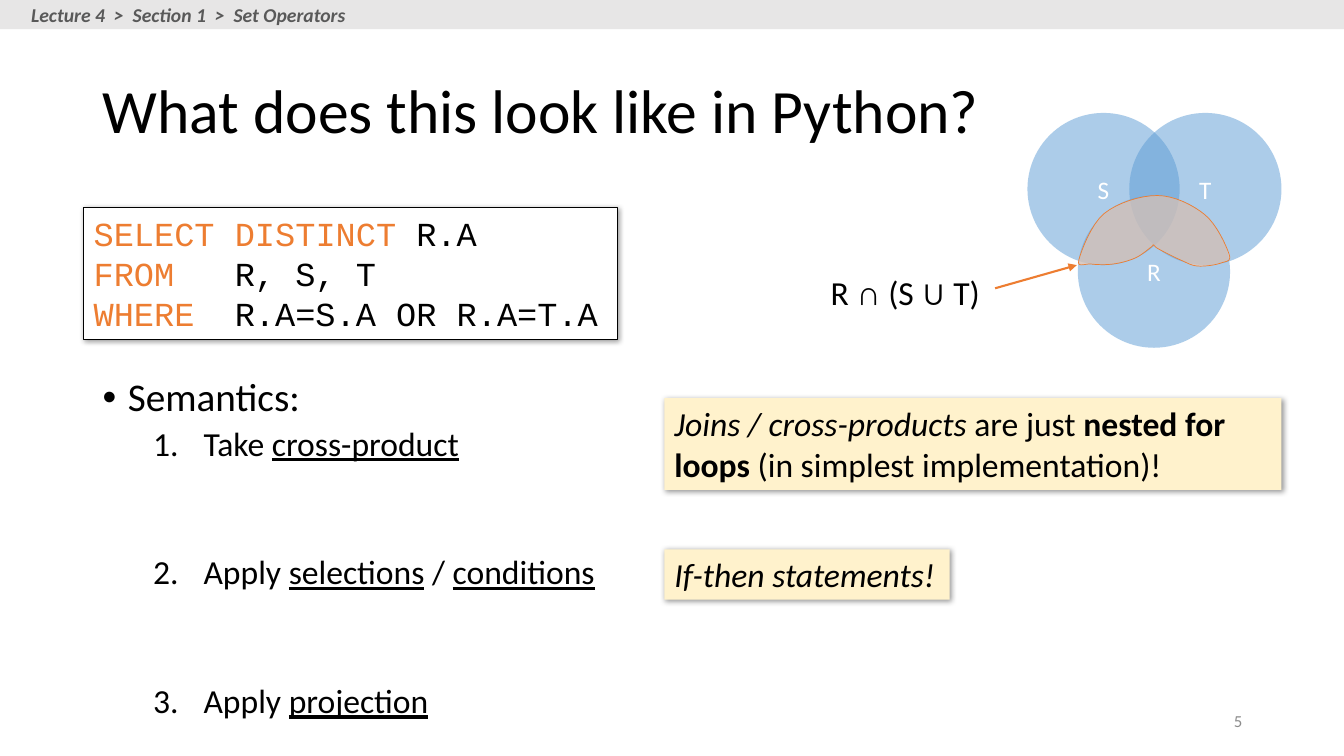
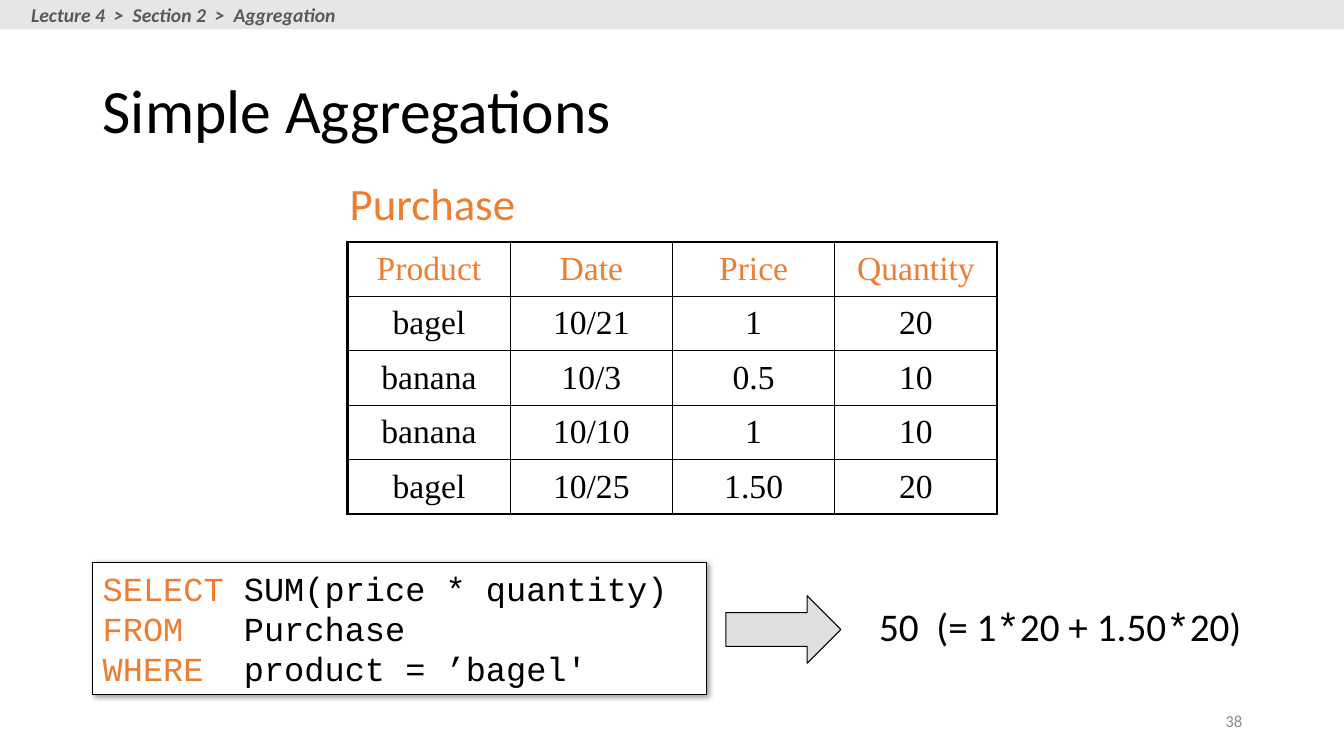
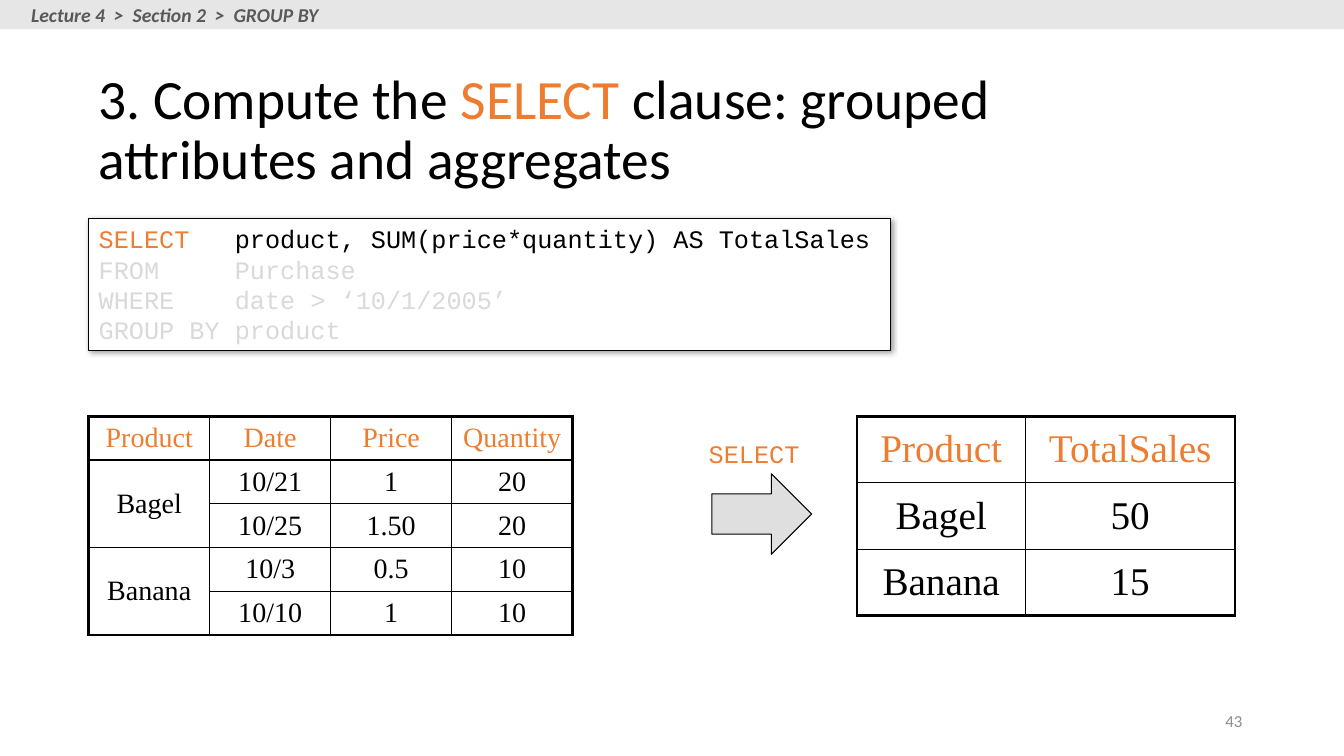
from dataclasses import dataclass, replace

from lxml.etree import SubElement
from pptx import Presentation
from pptx.dml.color import RGBColor
from pptx.enum.shapes import MSO_CONNECTOR, MSO_SHAPE
from pptx.enum.text import MSO_ANCHOR, PP_ALIGN
from pptx.oxml.ns import qn
from pptx.util import Inches, Pt

BLACK = RGBColor(0x00, 0x00, 0x00)
WHITE = RGBColor(0xFF, 0xFF, 0xFF)
ORANGE = RGBColor(0xED, 0x7D, 0x31)
PEACH = RGBColor(0xF8, 0xCB, 0xAD)
CREAM = RGBColor(0xFF, 0xF2, 0xCC)
BLUE = RGBColor(0x5B, 0x9B, 0xD5)
SILVER = RGBColor(0xC0, 0xC0, 0xC0)
BAND_GRAY = RGBColor(0xE7, 0xE6, 0xE6)
CRUMB_GRAY = RGBColor(0x59, 0x59, 0x59)
NUMBER_GRAY = RGBColor(0x8C, 0x8C, 0x8C)
FADED = RGBColor(0xD9, 0xD9, 0xD9)


@dataclass(frozen=True)
class Style:
    size: float
    font: str = "Calibri"
    color: RGBColor = BLACK
    bold: bool = False
    italic: bool = False
    underline: bool = False


TITLE = Style(44)
BODY = Style(24)
BODY_ITALIC = replace(BODY, italic=True)
BODY_BOLD = replace(BODY, bold=True)
BODY_UNDERLINE = replace(BODY, underline=True)
CODE = Style(24, "Courier New")
KEYWORD = replace(CODE, color=ORANGE)
SMALL_CODE = replace(CODE, size=18)
SMALL_KEYWORD = replace(KEYWORD, size=18)
FADED_CODE = replace(SMALL_CODE, color=FADED)
CRUMB = Style(14, color=CRUMB_GRAY, bold=True, italic=True)


def add_runs(para, runs):
    for text, style in runs:
        span = para.add_run()
        span.text = text
        font = span.font
        font.name = style.font
        font.size = Pt(style.size)
        font.color.rgb = style.color
        font.bold = style.bold
        font.italic = style.italic
        font.underline = style.underline


def fill_frame(frame, lines, align=PP_ALIGN.LEFT, anchor=MSO_ANCHOR.TOP, spacing=1.0):
    frame.word_wrap = True
    frame.vertical_anchor = anchor
    for index, runs in enumerate(lines):
        para = frame.add_paragraph() if index else frame.paragraphs[0]
        para.alignment = align
        para.line_spacing = spacing
        add_runs(para, runs)


def add_text(page, left, top, width, height, lines, **layout):
    box = page.shapes.add_textbox(Inches(left), Inches(top), Inches(width), Inches(height))
    fill_frame(box.text_frame, lines, **layout)
    return box


def paint(shape, fill, line=None, weight=0.75, opacity=100):
    shape.shadow.inherit = False
    shape.fill.solid()
    shape.fill.fore_color.rgb = fill
    if opacity < 100:
        color = shape.element.spPr.find(qn("a:solidFill"))[0]
        SubElement(color, qn("a:alpha"), val=str(opacity * 1000))
    if line is None:
        shape.line.fill.background()
    else:
        shape.line.color.rgb = line
        shape.line.width = Pt(weight)


def add_shape(page, kind, left, top, width, height, fill, **look):
    shape = page.shapes.add_shape(
        kind, Inches(left), Inches(top), Inches(width), Inches(height)
    )
    paint(shape, fill, **look)
    return shape


def add_card(page, left, top, width, height, lines, fill=WHITE, line=None):
    card = add_shape(page, MSO_SHAPE.RECTANGLE, left, top, width, height, fill, line=line)
    effects = card.element.spPr.find(qn("a:effectLst"))
    shadow = SubElement(
        effects, qn("a:outerShdw"), blurRad=str(Pt(4)), dist=str(Pt(1)),
        dir="2700000", algn="tl", rotWithShape="0",
    )
    color = SubElement(shadow, qn("a:srgbClr"), val=str(BLACK))
    SubElement(color, qn("a:alpha"), val="40000")
    fill_frame(card.text_frame, lines)


def add_block_arrow(page, left, top, width, height):
    add_shape(page, MSO_SHAPE.RIGHT_ARROW, left, top, width, height, SILVER,
              line=BLACK, opacity=50)


def add_pointer(page, start, end):
    pointer = page.shapes.add_connector(
        MSO_CONNECTOR.STRAIGHT, *(Inches(value) for value in start + end)
    )
    pointer.line.color.rgb = ORANGE
    pointer.line.width = Pt(1.5)
    SubElement(pointer.line._get_or_add_ln(), qn("a:tailEnd"), type="triangle")
    SubElement(pointer.element.spPr, qn("a:effectLst"))


def smooth_outline(knots, steps=8):
    count = len(knots)
    points = []
    for index in range(count):
        neighbors = [knots[(index + shift) % count] for shift in (-1, 0, 1, 2)]
        for step in range(steps):
            t = step / steps
            points.append(tuple(
                Inches(b + t * (c - a) / 2
                       + t ** 2 * (2 * a - 5 * b + 4 * c - d) / 2
                       + t ** 3 * (3 * b - a - 3 * c + d) / 2)
                for a, b, c, d in zip(*neighbors)
            ))
    return points


def set_border(cell, side, weight):
    line = SubElement(cell._tc.get_or_add_tcPr(), qn("a:ln" + side), w=str(Pt(weight)))
    fill = SubElement(line, qn("a:solidFill"))
    SubElement(fill, qn("a:srgbClr"), val=str(BLACK))


def add_grid(page, left, top, widths, row_height, size, rows, merges=()):
    row_count, column_count = len(rows), len(widths)
    table = page.shapes.add_table(
        row_count, column_count, Inches(left), Inches(top),
        Inches(sum(widths)), Inches(row_height * row_count),
    ).table
    table.first_row = False
    table.horz_banding = False
    for column, width in zip(table.columns, widths):
        column.width = Inches(width)
    for row in table.rows:
        row.height = Inches(row_height)
    for first, last in merges:
        table.cell(first, 0).merge(table.cell(last, 0))
    for r, values in enumerate(rows):
        style = Style(size, "Times New Roman", BLACK if r else ORANGE)
        for c, value in enumerate(values):
            cell = table.cell(r, c)
            bottom = r + (cell.span_height if cell.is_merge_origin else 1)
            edges = {"L": c == 0, "R": c == column_count - 1,
                     "T": r == 0, "B": bottom == row_count}
            for side, outer in edges.items():
                set_border(cell, side, 2.25 if outer else 1)
            cell.fill.background()
            cell.vertical_anchor = MSO_ANCHOR.MIDDLE
            if value:
                para = cell.text_frame.paragraphs[0]
                para.alignment = PP_ALIGN.CENTER
                add_runs(para, [(value, style)])


def add_page(deck, number, section, topic, title, title_box=(0.92, 0.4, 11.5, 1.45)):
    page = deck.slides.add_slide(deck.slide_layouts[6])
    add_text(page, 9.42, 6.95, 3, 0.4, [[(str(number), Style(12, color=NUMBER_GRAY))]],
             align=PP_ALIGN.RIGHT, anchor=MSO_ANCHOR.MIDDLE)
    add_text(page, *title_box, [title], anchor=MSO_ANCHOR.MIDDLE, spacing=0.9)
    add_shape(page, MSO_SHAPE.RECTANGLE, 0, 0, 13.33, 0.29, BAND_GRAY)
    crumbs = "  >  ".join(["Lecture 4", f"Section {section}", topic])
    add_text(page, 0.21, -0.02, 3.4, 0.34, [[(crumbs, CRUMB)]])
    return page


def add_semantics(page):
    lines = [
        [("Semantics:", Style(28))],
        [("Take ", BODY), ("cross-product", BODY_UNDERLINE)],
        [("Apply ", BODY), ("selections", BODY_UNDERLINE), (" / ", BODY),
         ("conditions", BODY_UNDERLINE)],
        [("Apply ", BODY), ("projection", BODY_UNDERLINE)],
    ]
    box = add_text(page, 0.92, 3.7, 5.91, 3.49, lines, spacing=0.9)
    gaps = [10, 5, 66, 66]
    for index, (para, gap) in enumerate(zip(box.text_frame.paragraphs, gaps)):
        para.space_before = Pt(gap)
        margin, hang = (1, 0.5) if index else (0.25, 0.25)
        properties = para._p.get_or_add_pPr()
        properties.set("marL", str(Inches(margin)))
        properties.set("indent", str(-Inches(hang)))
        SubElement(properties, qn("a:buFont"), typeface="Calibri" if index else "Arial")
        if index:
            SubElement(properties, qn("a:buAutoNum"), type="arabicPeriod")
        else:
            SubElement(properties, qn("a:buChar"), char="•")


def add_venn(page):
    symbol = replace(BODY, font="Arial")
    formula = [("R ", BODY), ("∩", symbol), (" (S ", BODY), ("∪", symbol), (" T)", BODY)]
    add_text(page, 8.14, 2.65, 1.72, 0.5, [formula])
    for name, left, top in (("S", 10.19, 1.12), ("T", 11.2, 1.12), ("R", 10.69, 1.94)):
        circle = add_shape(page, MSO_SHAPE.OVAL, left, top, 1.51, 1.51, BLUE, opacity=50)
        fill_frame(circle.text_frame, [[(name, Style(18, color=WHITE))]],
                   align=PP_ALIGN.CENTER, anchor=MSO_ANCHOR.MIDDLE)
    add_pointer(page, (9.87, 2.86), (10.68, 2.63))
    overlap_knots = [
        (10.7, 2.58), (10.95, 2.12), (11.48, 1.94), (11.95, 2.13), (12.19, 2.52),
        (12.11, 2.61), (11.88, 2.64), (11.71, 2.58), (11.49, 2.47), (11.44, 2.43),
        (11.42, 2.45), (11.26, 2.56), (11.04, 2.62), (10.82, 2.62),
    ]
    start, *others = smooth_outline(overlap_knots)
    builder = page.shapes.build_freeform(*start)
    builder.add_line_segments(others, close=True)
    paint(builder.convert_to_shape(), PEACH, line=ORANGE, weight=0.5, opacity=60)


def build_python_page(deck):
    page = add_page(deck, 5, 1, "Set Operators",
                    [("What does this look like in Python?", TITLE)])
    add_card(page, 0.83, 2.06, 5.29, 1.31, [
        [("SELECT DISTINCT ", KEYWORD), ("R.A", CODE)],
        [("FROM", KEYWORD), ("   R, S, T", CODE)],
        [("WHERE  ", KEYWORD), ("R.A=S.A OR R.A=T.A", CODE)],
    ], line=BLACK)
    add_semantics(page)
    add_card(page, 6.59, 3.95, 6.12, 0.91, [[
        ("Joins / cross-products ", BODY_ITALIC), ("are just ", BODY),
        ("nested for loops ", BODY_BOLD), ("(in simplest implementation)!", BODY),
    ]], fill=CREAM)
    add_card(page, 6.59, 5.45, 2.83, 0.5, [[("If-then statements!", BODY_ITALIC)]],
             fill=CREAM)
    add_venn(page)


def build_aggregation_page(deck):
    page = add_page(deck, 38, 2, "Aggregation", [("Simple Aggregations", TITLE)])
    add_text(page, 3.37, 1.69, 1.86, 0.64, [[("Purchase", Style(32, color=ORANGE))]])
    add_grid(page, 3.45, 2.4, [1.61] * 4, 0.54, 24, [
        ["Product", "Date", "Price", "Quantity"],
        ["bagel", "10/21", "1", "20"],
        ["banana", "10/3", "0.5", "10"],
        ["banana", "10/10", "1", "10"],
        ["bagel", "10/25", "1.50", "20"],
    ])
    add_card(page, 0.92, 5.58, 6.09, 1.31, [
        [("SELECT ", KEYWORD), ("SUM(price * quantity)", CODE)],
        [("FROM   ", KEYWORD), ("Purchase", CODE)],
        [("WHERE  ", KEYWORD), ("product = ’bagel'", CODE)],
    ], line=BLACK)
    add_block_arrow(page, 7.2, 5.91, 1.14, 0.67)
    plain = Style(28)
    star = ("*", replace(plain, font="Courier New"))
    add_text(page, 8.62, 5.93, 3.84, 0.57, [[
        ("50  (= 1", plain), star, ("20 + 1.50", plain), star, ("20)", plain),
    ]])


def build_group_by_page(deck):
    heading = replace(TITLE, size=39.6)
    page = add_page(deck, 43, 2, "GROUP BY", [
        ("3. Compute the ", heading),
        ("SELECT", replace(heading, color=ORANGE)),
        (" clause: grouped attributes and aggregates", heading),
    ], title_box=(0.88, 0.68, 10.99, 1.25))
    add_block_arrow(page, 7.06, 4.7, 0.99, 0.8)
    add_card(page, 0.88, 2.17, 7.95, 1.31, [
        [("SELECT   ", SMALL_KEYWORD),
         ("product, SUM(price*quantity) AS TotalSales", SMALL_CODE)],
        [("FROM     Purchase", FADED_CODE)],
        [("WHERE    date > ‘10/1/2005’", FADED_CODE)],
        [("GROUP BY product", FADED_CODE)],
    ], line=BLACK)
    add_grid(page, 8.5, 4.13, [1.67, 2.08], 0.66, 28, [
        ["Product", "TotalSales"],
        ["Bagel", "50"],
        ["Banana", "15"],
    ])
    add_text(page, 6.93, 4.3, 1.15, 0.4, [[("SELECT", SMALL_KEYWORD)]])
    add_grid(page, 0.88, 4.13, [1.2] * 4, 0.43, 20, [
        ["Product", "Date", "Price", "Quantity"],
        ["Bagel", "10/21", "1", "20"],
        ["", "10/25", "1.50", "20"],
        ["Banana", "10/3", "0.5", "10"],
        ["", "10/10", "1", "10"],
    ], merges=[(1, 2), (3, 4)])


def main():
    deck = Presentation()
    deck.slide_width = Inches(13.33)
    deck.slide_height = Inches(7.5)
    build_python_page(deck)
    build_aggregation_page(deck)
    build_group_by_page(deck)
    deck.save("out.pptx")


main()
